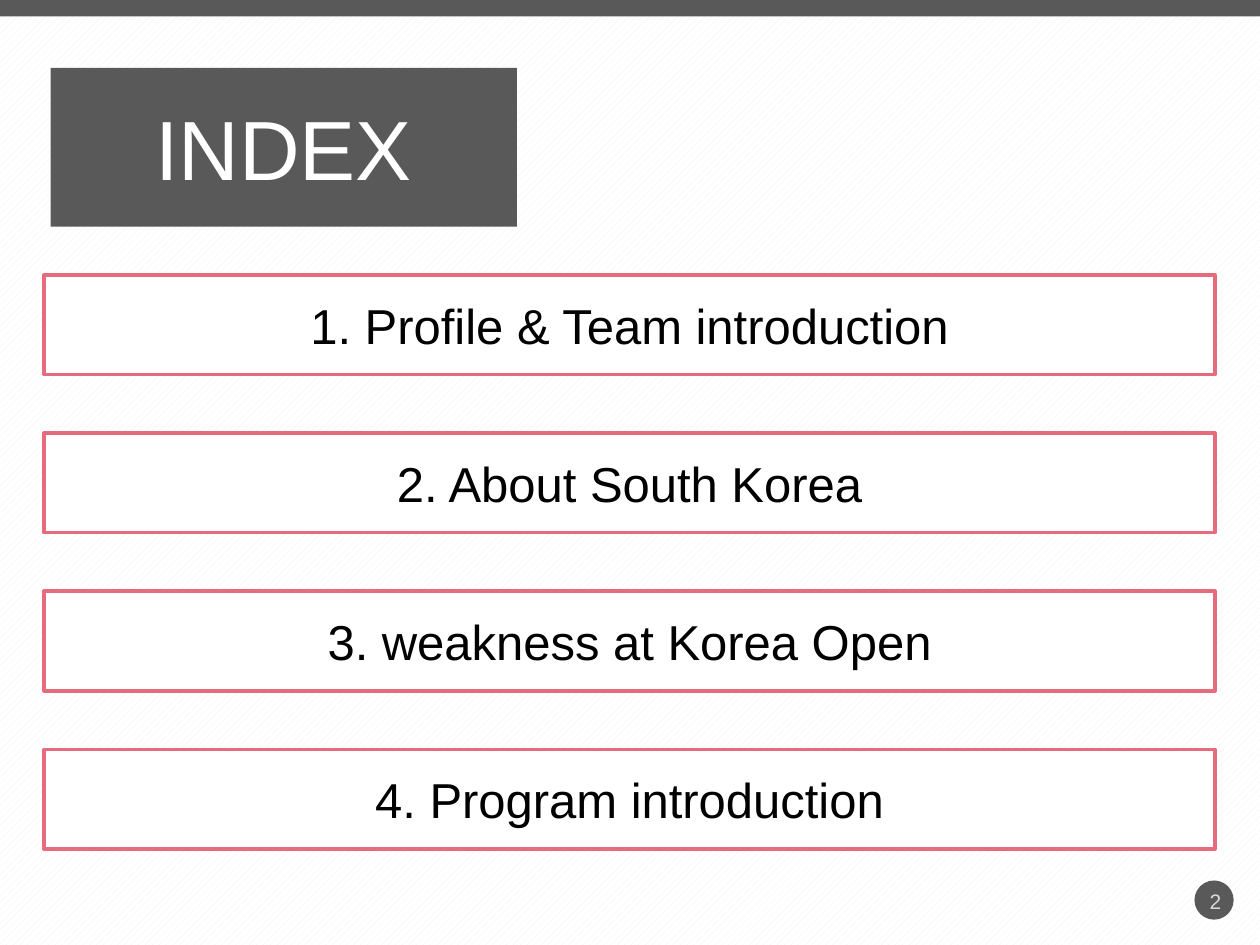
from dataclasses import dataclass
from typing import Optional

import pptx
import pptx.dml.color
import pptx.enum.dml
import pptx.enum.shapes
import pptx.enum.text
import pptx.util

Cm = pptx.util.Cm
Pt = pptx.util.Pt
RGBColor = pptx.dml.color.RGBColor
Shape = pptx.enum.shapes.MSO_SHAPE
Align = pptx.enum.text.PP_ALIGN

DARK_GREY = RGBColor(0x59, 0x59, 0x59)
LIGHT_GREY = RGBColor(0xD9, 0xD9, 0xD9)
STRIPE = RGBColor(0xF2, 0xF2, 0xF2)
WHITE = RGBColor(0xFF, 0xFF, 0xFF)
BLACK = RGBColor(0x00, 0x00, 0x00)
ROSE = RGBColor(0xE6, 0x6C, 0x7D)

FONT = "Arial"
TOPICS = (
    "Profile & Team introduction",
    "About South Korea",
    "weakness at Korea Open",
    "Program introduction",
)
TOPIC_TOP, TOPIC_STEP = 5.54, 3.19


@dataclass(frozen=True)
class Box:
    """Position and size in centimetres."""
    left: float
    top: float
    width: float
    height: float

    def lengths(self) -> tuple:
        return Cm(self.left), Cm(self.top), Cm(self.width), Cm(self.height)


def write_text(shape, text: str, *, size: float, color: RGBColor,
               align=Align.CENTER) -> None:
    frame = shape.text_frame
    frame.word_wrap = True
    frame.vertical_anchor = pptx.enum.text.MSO_ANCHOR.MIDDLE
    paragraph = frame.paragraphs[0]
    paragraph.alignment = align
    run = paragraph.add_run()
    run.text = text
    run.font.name = FONT
    run.font.size = Pt(size)
    run.font.color.rgb = color


def draw_shape(slide, kind, box: Box, fill: RGBColor,
               outline: Optional[RGBColor] = None):
    shape = slide.shapes.add_shape(kind, *box.lengths())
    shape.shadow.inherit = False
    shape.fill.solid()
    shape.fill.fore_color.rgb = fill
    if outline is None:
        shape.line.fill.background()
    else:
        shape.line.color.rgb = outline
        shape.line.width = Pt(2)
    return shape


def main() -> None:
    deck = pptx.Presentation()
    deck.slide_width, deck.slide_height = Cm(25.4), Cm(19.05)
    slide = deck.slides.add_slide(deck.slide_layouts[6])

    # Striped background
    backdrop = slide.background.fill
    backdrop.patterned()
    backdrop.pattern = pptx.enum.dml.MSO_PATTERN.WIDE_UPWARD_DIAGONAL
    backdrop.fore_color.rgb = STRIPE
    backdrop.back_color.rgb = WHITE

    # Title
    title = draw_shape(slide, Shape.RECTANGLE, Box(1.02, 1.37, 9.4, 3.2), DARK_GREY)
    write_text(title, "INDEX", size=48, color=WHITE)

    # Page number
    draw_shape(slide, Shape.OVAL, Box(24.08, 17.75, 0.79, 0.79), DARK_GREY)
    page_number = slide.shapes.add_textbox(*Box(23.9, 17.65, 0.97, 1.02).lengths())
    write_text(page_number, "2", size=12, color=LIGHT_GREY, align=Align.RIGHT)

    # Top band
    draw_shape(slide, Shape.RECTANGLE, Box(0, 0, 25.4, 0.33), DARK_GREY)

    # Numbered topics
    for index, topic in enumerate(TOPICS):
        place = Box(0.89, TOPIC_TOP + index * TOPIC_STEP, 23.6, 2.01)
        entry = draw_shape(slide, Shape.RECTANGLE, place, WHITE, ROSE)
        write_text(entry, f"{index + 1}. {topic}", size=28, color=BLACK)

    deck.save("out.pptx")


if __name__ == "__main__":
    main()
